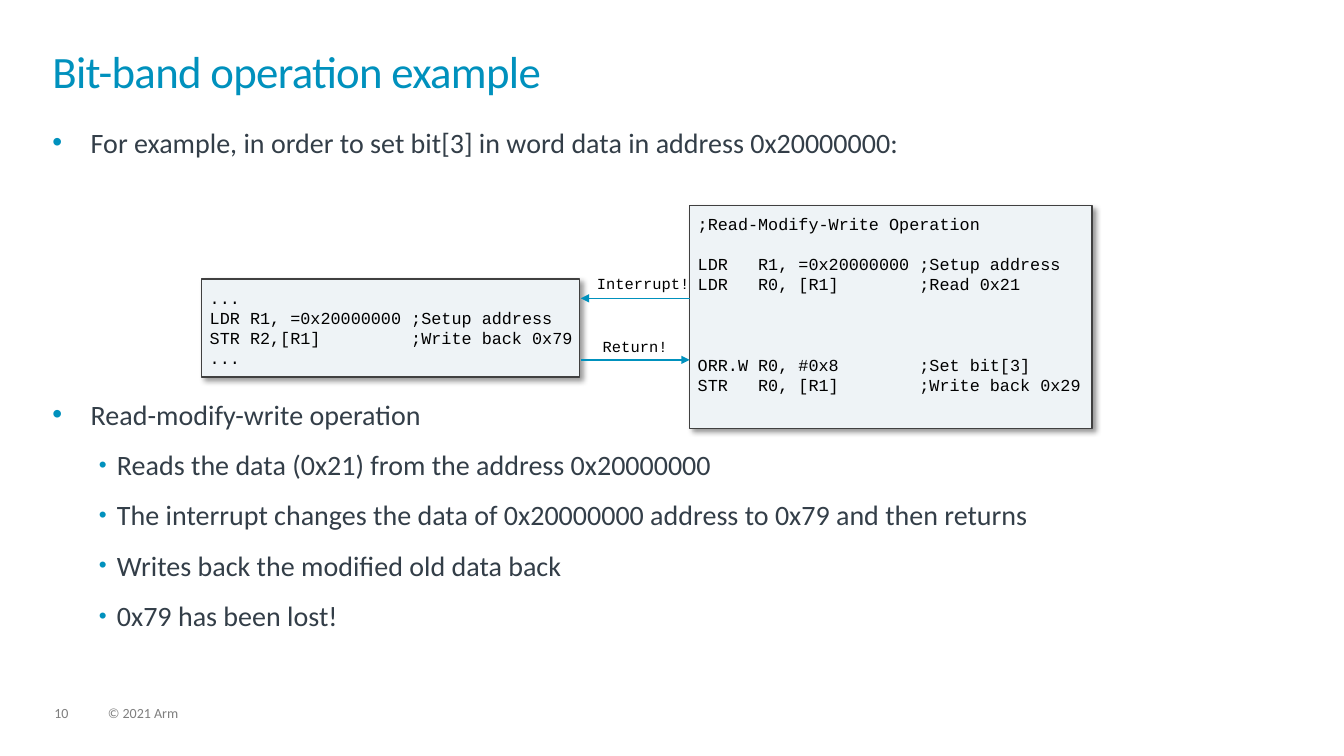
from lxml import etree
from pptx import Presentation
from pptx.dml.color import RGBColor
from pptx.enum.shapes import MSO_CONNECTOR, MSO_SHAPE
from pptx.enum.text import MSO_ANCHOR, MSO_AUTO_SIZE, PP_ALIGN
from pptx.oxml.ns import qn
from pptx.util import Inches, Pt

STRAIGHT = MSO_CONNECTOR.STRAIGHT
RECT = MSO_SHAPE.RECTANGLE
TOP = MSO_ANCHOR.TOP
NO_FIT = MSO_AUTO_SIZE.NONE
LEFT, CENTER = PP_ALIGN.LEFT, PP_ALIGN.CENTER

COLORS = {"accent": "0091BD", "body": "333E48", "footer": "7F7F7F",
          "panel": "EEF3F6", "border": "404040", "code": "000000"}
BODY_FONT, CODE_FONT = "Calibri", "Courier New"

TITLE = "Bit-band operation example"
BULLETS = [
    (0, 0, "For example, in order to set bit[3] in word data in address 0x20000000:"),
    (0, 170.4, "Read-modify-write operation"),
    (1, 12, "Reads the data (0x21) from the address 0x20000000"),
    (1, 12, "The interrupt changes the data of 0x20000000 address to 0x79 and then returns"),
    (1, 12, "Writes back the modified old data back"),
    (1, 12, "0x79 has been lost!"),
]
INDENTS = [(0.38, 0.38, 100), (0.64, 0.18, 80)]
CODE_LINE = 14.4
MAIN_CODE = [
    (0, ";Read-Modify-Write Operation"),
    (1, "LDR   R1, =0x20000000 ;Setup address"),
    (0, "LDR   R0, [R1]        ;Read 0x21"),
    (3, "ORR.W R0, #0x8        ;Set bit[3]"),
    (0, "STR   R0, [R1]        ;Write back 0x29"),
]
INTERRUPT_CODE = [
    (0, "..."),
    (0, "LDR R1, =0x20000000 ;Setup address"),
    (0, "STR R2,[R1]         ;Write back 0x79"),
    (0, "..."),
]
PANELS = [((6.84, 2.04, 3.99, 2.21), MAIN_CODE),
          ((2, 2.77, 3.75, 0.97), INTERRUPT_CODE)]
ARROWS = [(6.84, 5.76, 2.96), (5.76, 6.84, 3.57)]
LABELS = [((5.92, 2.72, 0.92, 0.24), "Interrupt!"),
          ((5.76, 3.34, 1.08, 0.24), "Return!")]
FOOTERS = [((0.54, 7.01, 0.34, 0.15), "10"),
           ((1.07, 7.01, 5.07, 0.15), "© 2021 Arm")]


def rgb(name):
    return RGBColor.from_string(COLORS[name])


def place(sp, box):
    sp.left, sp.top, sp.width, sp.height = map(Inches, box)


def set_frame(tf, inset=0, wrap=True):
    tf.auto_size, tf.word_wrap, tf.vertical_anchor = NO_FIT, wrap, TOP
    tf.margin_left = tf.margin_right = tf.margin_top = tf.margin_bottom = Inches(inset)


def write(p, text, size=20, font=BODY_FONT, color="body", align=LEFT,
          before=0, after=0, spacing=1.0, tracking=None):
    p.alignment, p.line_spacing = align, spacing
    p.space_before, p.space_after = Pt(before), Pt(after)
    r = p.add_run()
    r.text = text
    r.font.name, r.font.size = font, Pt(size)
    r.font.color.rgb = rgb(color)
    if tracking:
        r.font._element.set("spc", str(int(tracking * 100)))


def next_paragraph(tf, i):
    return tf.add_paragraph() if i else tf.paragraphs[0]


def add_bullet(p, level):
    left, hang, percent = INDENTS[level]
    p.level = level
    pPr = p._p.get_or_add_pPr()
    pPr.set("marL", str(Inches(left)))
    pPr.set("indent", str(-Inches(hang)))
    clr = etree.SubElement(pPr, qn("a:buClr"))
    etree.SubElement(clr, qn("a:srgbClr"), val=COLORS["accent"])
    etree.SubElement(pPr, qn("a:buSzPct"), val=str(percent * 1000))
    etree.SubElement(pPr, qn("a:buFont"), typeface="Arial")
    etree.SubElement(pPr, qn("a:buChar"), char="•")


def add_label(s, box, text, wrap=True, **fmt):
    sp = s.shapes.add_textbox(*map(Inches, box))
    set_frame(sp.text_frame, wrap=wrap)
    write(sp.text_frame.paragraphs[0], text, **fmt)


def add_panel(s, box, code):
    sp = s.shapes.add_shape(RECT, *map(Inches, box))
    sp.fill.solid()
    sp.fill.fore_color.rgb = rgb("panel")
    sp.line.color.rgb = rgb("border")
    sp.line.width = Pt(1)
    sp.shadow.inherit = False
    effects = sp._element.spPr.find(qn("a:effectLst"))
    shadow = etree.SubElement(effects, qn("a:outerShdw"), blurRad=str(Pt(4)),
                              dist=str(Pt(3)), dir="2700000", algn="tl", rotWithShape="0")
    clr = etree.SubElement(shadow, qn("a:srgbClr"), val=COLORS["code"])
    etree.SubElement(clr, qn("a:alpha"), val="40000")
    tf = sp.text_frame
    set_frame(tf, 0.08, False)
    for i, (skipped, text) in enumerate(code):
        write(next_paragraph(tf, i), text, size=12, font=CODE_FONT, color="code",
              before=skipped * CODE_LINE, spacing=Pt(CODE_LINE))


def add_arrow(s, x1, x2, y):
    sp = s.shapes.add_connector(STRAIGHT, Inches(x1), Inches(y), Inches(x2), Inches(y))
    sp.line.color.rgb = rgb("accent")
    sp.line.width = Pt(1)
    etree.SubElement(sp.line._get_or_add_ln(), qn("a:tailEnd"), type="triangle")
    etree.SubElement(sp._element.spPr, qn("a:effectLst"))


def main():
    prs = Presentation()
    prs.slide_width, prs.slide_height = Inches(13.33), Inches(7.5)
    s = prs.slides.add_slide(prs.slide_layouts[1])
    title, body = s.placeholders

    place(title, (0.52, 0.52, 12.28, 0.72))
    set_frame(title.text_frame)
    write(title.text_frame.paragraphs[0], TITLE, size=32, color="accent",
          spacing=0.85, tracking=-0.5)

    place(body, (0.52, 1.24, 12.3, 5.44))
    set_frame(body.text_frame)
    for i, (level, before, text) in enumerate(BULLETS):
        p = next_paragraph(body.text_frame, i)
        add_bullet(p, level)
        write(p, text, before=before)

    for box, code in PANELS:
        add_panel(s, box, code)
    for arrow in ARROWS:
        add_arrow(s, *arrow)
    for box, text in LABELS:
        add_label(s, box, text, wrap=False, size=11, font=CODE_FONT,
                  color="code", align=CENTER)
    for box, text in FOOTERS:
        add_label(s, box, text, size=10, color="footer", spacing=0.9, after=6)

    prs.save("out.pptx")


if __name__ == "__main__":
    main()
